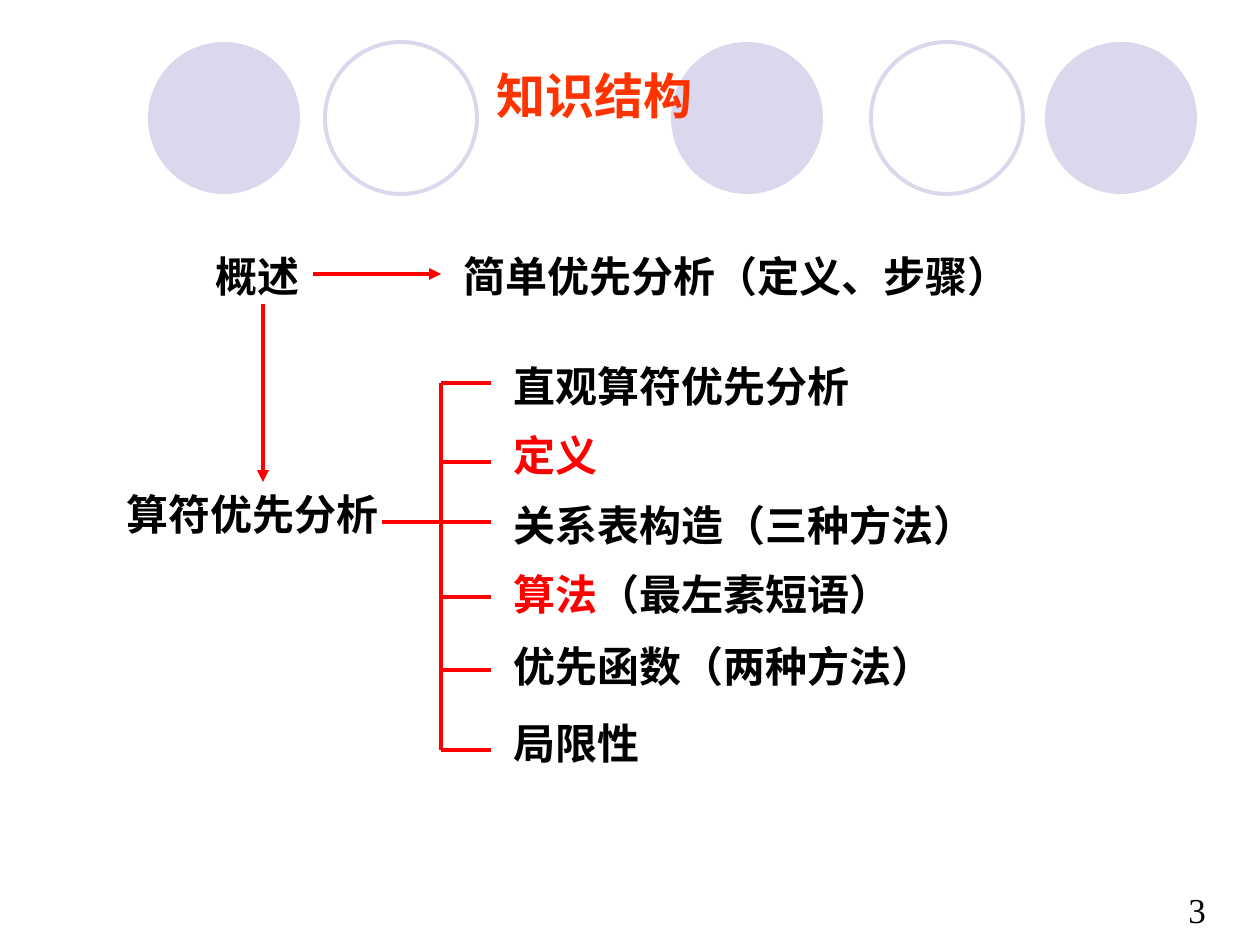
from pptx import Presentation, util as u
from pptx.dml.color import RGBColor
from pptx.enum import shapes, text
from pptx.oxml.ns import qn
from lxml import etree

PX = u.Inches(1) / 126
FONT = "Times New Roman"
BLACK = RGBColor(0x00, 0x00, 0x00)
RED = RGBColor(0xFF, 0x00, 0x00)
ORANGE = RGBColor(0xFF, 0x33, 0x00)
LAVENDER = RGBColor(0xD9, 0xD8, 0xEC)

# left edge, filled
CIRCLES = [(148, True), (325, False), (671, True), (871, False), (1045, True)]
TOPICS_LEFT, TRUNK_X, BRANCH_END = 501, 441, 491
# text top, branch height, width, coloured spans
TOPICS = [
    (354, 383, 407, [("直观算符优先分析", BLACK)]),
    (423, 462, 129, [("定义", RED)]),
    (493, 522, 515, [("关系表构造（三种方法）", BLACK)]),
    (562, 597, 407, [("算法", RED), ("（最左素短语）", BLACK)]),
    (634, 670, 476, [("优先函数（两种方法）", BLACK)]),
    (711, 750, 169, [("局限性", BLACK)]),
]


def px(*lengths):
    """Turn pixel lengths into EMU."""
    return [u.Emu(round(length * PX)) for length in lengths]


def add_circle(page, left, filled):
    circle = page.shapes.add_shape(shapes.MSO_SHAPE.OVAL, *px(left, 42, 152, 152))
    circle.shadow.inherit = False
    if filled:
        circle.fill.solid()
        circle.fill.fore_color.rgb = LAVENDER
        circle.line.fill.background()
    else:
        circle.fill.background()
        circle.line.color.rgb = LAVENDER
        circle.line.width = u.Pt(2.25)


def write(box, spans, size=24, bold=True):
    """Fill a box with one left-aligned paragraph of coloured spans."""
    frame = box.text_frame
    frame.word_wrap = True
    frame.auto_size = text.MSO_AUTO_SIZE.NONE
    frame.vertical_anchor = text.MSO_ANCHOR.TOP
    para = frame.paragraphs[0]
    para.alignment = text.PP_ALIGN.LEFT
    para.font.name, para.font.size, para.font.bold = FONT, u.Pt(size), bold
    for words, color in spans:
        span = para.add_run()
        span.text = words
        span.font.color.rgb = color


def add_label(page, left, top, width, spans, height=63, **style):
    box = page.shapes.add_textbox(*px(left, top, width, height))
    write(box, spans, **style)


def add_title(page):
    title = page.shapes.title
    title.left, title.top, title.width, title.height = px(484, 59, 221, 72)
    write(title, [("知识结构", ORANGE)], size=28)
    # Bring the title in front of the circles it overlaps
    title._element.getparent().append(title._element)


def add_line(page, start, end, arrow=False):
    line = page.shapes.add_connector(
        shapes.MSO_CONNECTOR.STRAIGHT, *px(*start, *end))
    line.line.color.rgb = RED
    line.line.width = u.Pt(2.25)
    if arrow:
        etree.SubElement(line.line._get_or_add_ln(), qn("a:tailEnd"), type="triangle")
    etree.SubElement(line._element.spPr, qn("a:effectLst"))


def add_topics(page):
    """Draw the bracket and the topic beside each of its branches."""
    add_line(page, (382, 522), (TRUNK_X, 522))
    add_line(page, (TRUNK_X, TOPICS[0][1]), (TRUNK_X, TOPICS[-1][1]))
    for top, branch_y, width, spans in TOPICS:
        add_line(page, (TRUNK_X, branch_y), (BRANCH_END, branch_y))
        add_label(page, TOPICS_LEFT, top, width, spans)


def main():
    deck = Presentation()
    deck.slide_width, deck.slide_height = px(1260, 945)
    page = deck.slides.add_slide(deck.slide_layouts.get_by_name("Title Only"))
    for left, filled in CIRCLES:
        add_circle(page, left, filled)
    add_title(page)
    add_label(page, 203, 244, 118, [("概述", BLACK)])
    add_label(page, 451, 244, 625, [("简单优先分析（定义、步骤）", BLACK)])
    add_label(page, 114, 482, 297, [("算符优先分析", BLACK)])
    add_line(page, (313, 274), (441, 274), arrow=True)
    add_line(page, (263, 304), (263, 482), arrow=True)
    add_topics(page)
    add_label(page, 1176, 882, 84, [("3", BLACK)], height=55, size=20, bold=False)
    deck.save("out.pptx")


if __name__ == "__main__":
    main()
